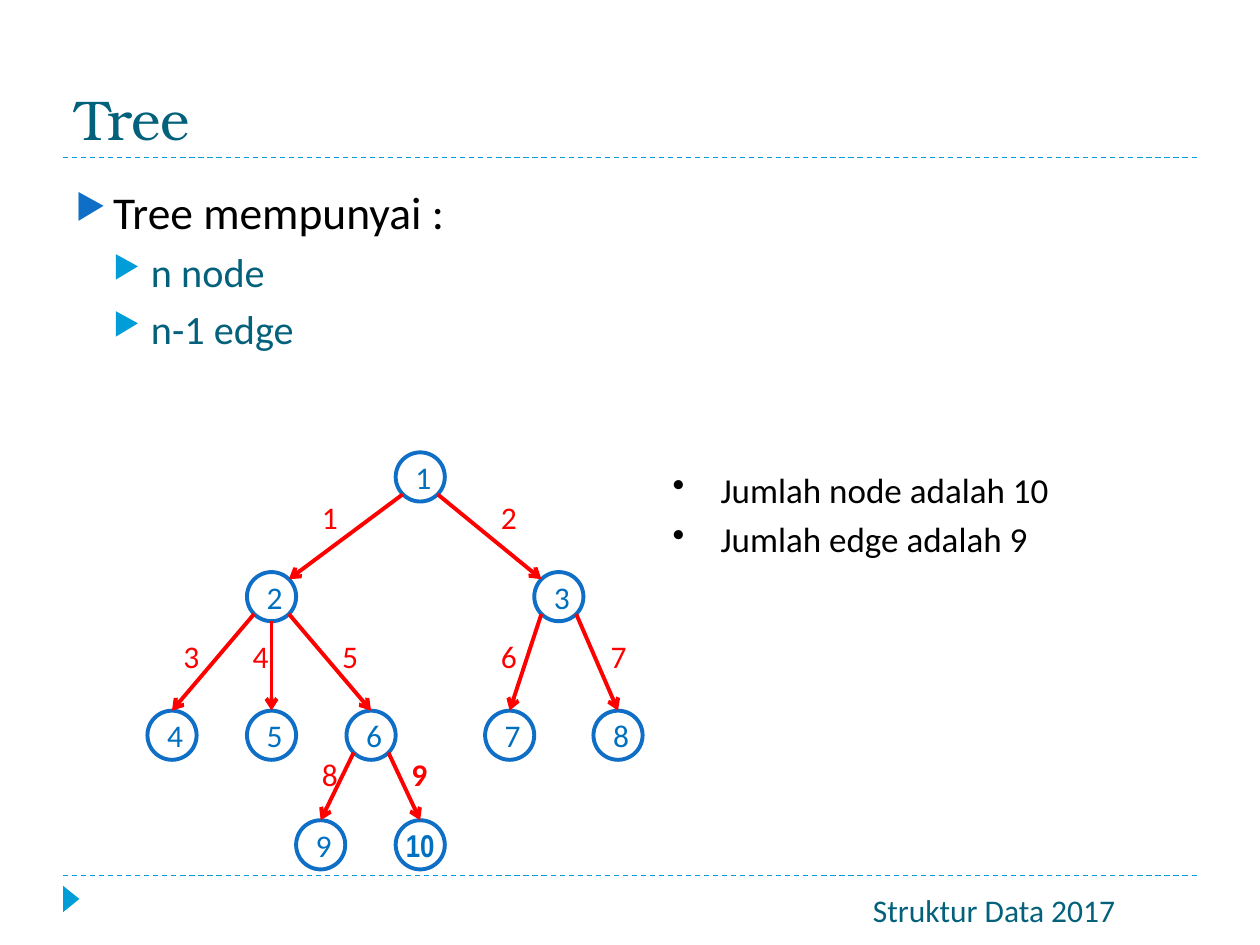
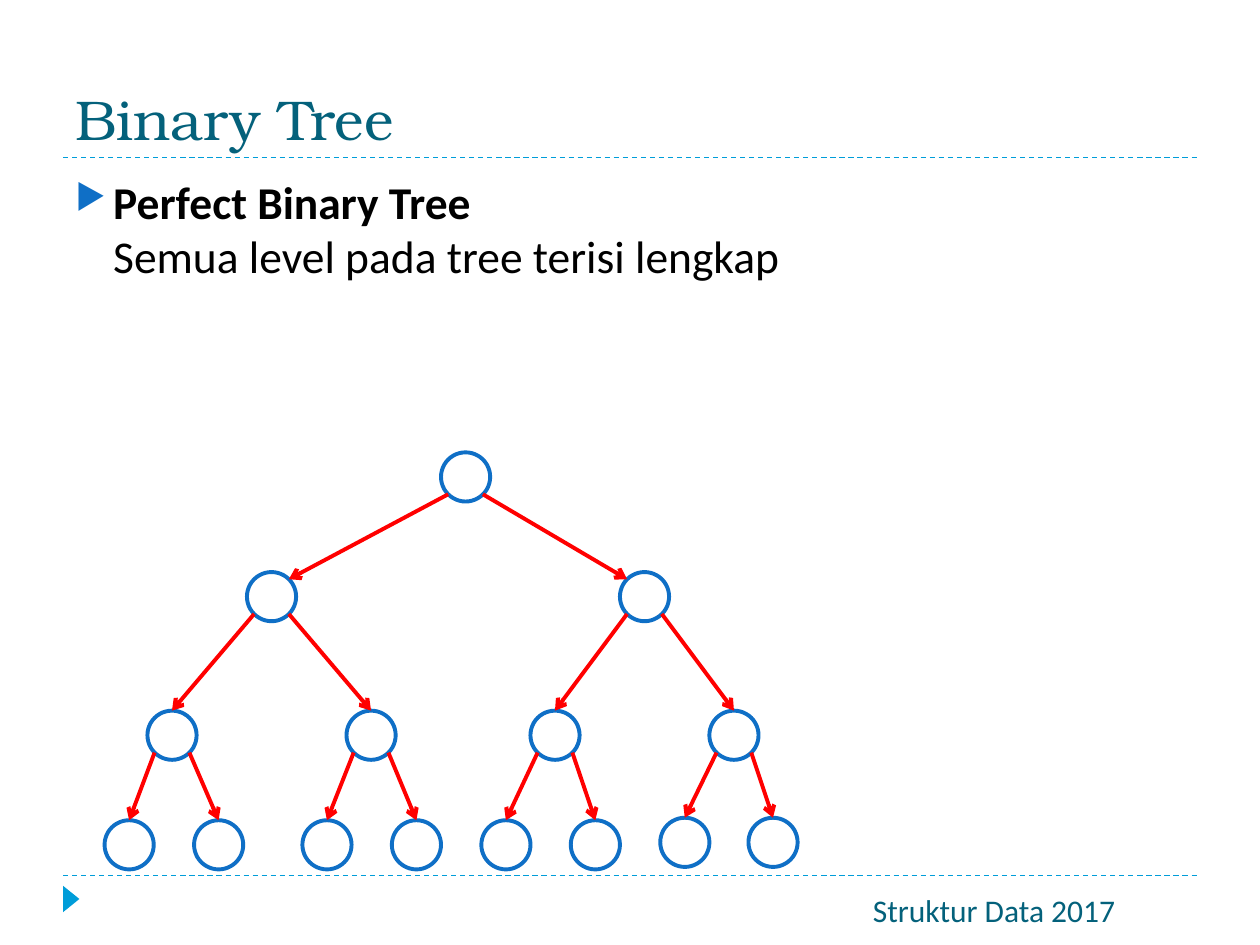
from math import sqrt

from lxml import etree
from pptx import Presentation
from pptx.dml.color import RGBColor
from pptx.enum.dml import MSO_LINE
from pptx.enum.shapes import MSO_CONNECTOR, MSO_SHAPE
from pptx.enum.text import MSO_ANCHOR, PP_ALIGN
from pptx.oxml.ns import qn
from pptx.util import Inches, Pt

STRAIGHT = MSO_CONNECTOR.STRAIGHT
OVAL, TRIANGLE = MSO_SHAPE.OVAL, MSO_SHAPE.ISOSCELES_TRIANGLE
DASH = MSO_LINE.DASH
MIDDLE, BOTTOM, TOP = MSO_ANCHOR.MIDDLE, MSO_ANCHOR.BOTTOM, MSO_ANCHOR.TOP
CENTER = PP_ALIGN.CENTER

COLORS = {
    "teal": "04617B", "cyan": "009DD9", "blue": "0F6FC6", "number": "0070C0",
    "red": "FF0000", "white": "FFFFFF", "black": "000000",
}
TITLE_FONT, BODY_FONT, NARROW_FONT = "TeX Gyre Bonum", "Calibri", "Arial Narrow"

NODE = 0.39
CORNER = NODE / 2 / sqrt(2)
LEVELS = [0, 0.95, 2.05, 2.92]
LABEL_LEVELS = [0, 0.32, 1.42, 2.36]

NUMBERED_TREE = {
    1: (None, 1.97, 0, None),
    2: (1, 0.79, 1, 1.23),
    3: (1, 3.07, 1, 2.65),
    4: (2, 0, 2, 0.13),
    5: (2, 0.79, 2, 0.68),
    6: (2, 1.58, 2, 1.39),
    7: (3, 2.68, 2, 2.65),
    8: (3, 3.54, 2, 3.52),
    9: (6, 1.18, 3, 1.23),
    10: (6, 1.97, 3, 1.94),
}
PERFECT_TREE_LEFTS = [
    [2.67],
    [1.13, 4.09],
    [0.34, 1.92, 3.38, 4.8],
    [0, 0.71, 1.57, 2.28, 2.99, 3.7, 4.41, 5.11],
]


def rgb(name):
    """Return the named colour."""
    return RGBColor.from_string(COLORS[name])


def style(font, size, color, name=BODY_FONT, bold=False):
    """Set the look of a font."""
    font.size, font.name, font.bold = Pt(size), name, bold
    font.color.rgb = rgb(color)


def add_line(slide, start, end, color, width):
    """Draw a straight line without a shadow."""
    line = slide.shapes.add_connector(STRAIGHT, *map(Inches, start + end))
    line.line.color.rgb = rgb(color)
    line.line.width = Pt(width)
    etree.SubElement(line._element.spPr, qn("a:effectLst"))
    return line


def add_arrow(slide, start, end):
    """Draw a red edge that points to a child node."""
    edge = add_line(slide, start, end, "red", 2.25)
    etree.SubElement(edge.line._get_or_add_ln(), qn("a:tailEnd"), type="arrow")


def add_text(slide, box, lines, anchor=TOP):
    """Add a wrapping text box with one paragraph per line."""
    frame = slide.shapes.add_textbox(*map(Inches, box)).text_frame
    frame.word_wrap = True
    frame.vertical_anchor = anchor
    frame.text = "\n".join(lines)
    return frame


def add_bullet(paragraph, char, color, percent, margin, hang):
    """Give a paragraph a coloured bullet and a hanging indent."""
    props = paragraph._p.get_or_add_pPr()
    props.set("marL", str(Inches(margin)))
    props.set("indent", str(Inches(-hang)))
    bullet_color = etree.SubElement(props, qn("a:buClr"))
    etree.SubElement(bullet_color, qn("a:srgbClr"), val=COLORS[color])
    etree.SubElement(props, qn("a:buSzPct"), val=str(percent * 1000))
    etree.SubElement(props, qn("a:buChar"), char=char)


def add_frame(prs, title):
    """Add a slide with its title, dashed rules and footer."""
    slide = prs.slides.add_slide(prs.slide_layouts[6])
    for y in (6.95, 1.25):
        add_line(slide, (0.5, y), (9.5, y), "cyan", 0.75).line.dash_style = DASH
    marker = slide.shapes.add_shape(TRIANGLE, *map(Inches, (0.46, 7.07, 0.21, 0.13)))
    marker.rotation = 90
    marker.shadow.inherit = False
    marker.fill.solid()
    marker.fill.fore_color.rgb = rgb("cyan")
    marker.line.fill.background()
    footer = add_text(slide, (5.86, 7.02, 4.06, 0.4), ["Struktur Data 2017"]).paragraphs[0]
    footer.alignment = CENTER
    style(footer.runs[0].font, 18, "teal")
    heading = add_text(slide, (0.5, 0.17, 9, 1.08), [title], BOTTOM).paragraphs[0]
    style(heading.runs[0].font, 32, "teal", TITLE_FONT)
    return slide


def add_body(slide, box, topic, details=()):
    """Write a main point and its sub-points."""
    frame = add_text(slide, box, [topic, *details])
    main, *subs = frame.paragraphs
    add_bullet(main, "▶", "blue", 76, 0.3, 0.3)
    for run in main.runs:
        style(run.font, 26, "black")
    for sub in subs:
        sub.level = 1
        add_bullet(sub, "▶", "cyan", 76, 0.6, 0.3)
        sub.space_before = Pt(5)
        style(sub.runs[0].font, 23, "teal")
    return main


def add_summary(slide, box, lines):
    """List the counts beside the tree."""
    for index, paragraph in enumerate(add_text(slide, box, lines).paragraphs):
        add_bullet(paragraph, "•", "black", 100, 0.38, 0.38)
        if index:
            paragraph.space_before = Pt(4)
        style(paragraph.runs[0].font, 20, "black")


def add_circle(slide, left, top, text="", color="number", outlined=True, **look):
    """Draw a node, or an edge number when it is not outlined."""
    circle = slide.shapes.add_shape(OVAL, *map(Inches, (left, top, NODE, NODE)))
    circle.shadow.inherit = False
    if outlined:
        circle.fill.solid()
        circle.fill.fore_color.rgb = rgb("white")
        circle.line.color.rgb = rgb("blue")
        circle.line.width = Pt(2.25)
    else:
        circle.fill.background()
        circle.line.fill.background()
    if text:
        frame = circle.text_frame
        frame.vertical_anchor = MIDDLE
        if len(text) > 1:
            frame.margin_left = frame.margin_right = 0
        frame.text = text
        frame.paragraphs[0].alignment = CENTER
        style(frame.paragraphs[0].runs[0].font, 18, color, **look)


def add_edge(slide, parent, child, from_root):
    """Join the lower rim of a parent to the upper rim of its child."""
    (px, py), (cx, cy) = [(x + NODE / 2, y + NODE / 2) for x, y in (parent, child)]
    side = 0 if abs(cx - px) < 0.01 else (1 if cx > px else -1)
    start = (px + side * CORNER, py + (CORNER if side else NODE / 2))
    end = (cx - side * CORNER, cy - CORNER) if from_root else (cx, cy - NODE / 2)
    add_arrow(slide, start, end)


def add_numbered_tree(slide, left, top):
    """Draw the tree with numbered nodes and edges."""
    spots = {}
    for number, (_, x, level, _) in NUMBERED_TREE.items():
        spots[number] = (left + x, top + LEVELS[level])
        look = {"name": NARROW_FONT, "bold": True} if number == 10 else {}
        add_circle(slide, *spots[number], str(number), **look)
    for number, (parent, _, level, label_x) in NUMBERED_TREE.items():
        if parent:
            add_edge(slide, spots[parent], spots[number], parent == 1)
            add_circle(slide, left + label_x, top + LABEL_LEVELS[level], str(number - 1),
                       "red", outlined=False, bold=number == 10)


def add_perfect_tree(slide, left, top):
    """Draw a binary tree with every level full."""
    spots = [(left + x, top + y) for y, row in zip(LEVELS, PERFECT_TREE_LEFTS) for x in row]
    spots[-2:] = [(x, y - 0.02) for x, y in spots[-2:]]
    for spot in spots:
        add_circle(slide, *spot)
    for index, spot in enumerate(spots[1:], 1):
        parent = (index - 1) // 2
        add_edge(slide, spots[parent], spot, parent == 0)


def build_tree_slide(prs):
    """Build the slide on node and edge counts."""
    slide = add_frame(prs, "Tree")
    add_body(slide, (0.5, 1.41, 9, 2.11), "Tree mempunyai :", ["n node", "n-1 edge"])
    add_numbered_tree(slide, 1.17, 3.59)
    add_summary(slide, (5.24, 3.67, 4.25, 3.31),
                ["Jumlah node adalah 10", "Jumlah edge adalah 9"])


def build_binary_tree_slide(prs):
    """Build the slide on the perfect binary tree."""
    slide = add_frame(prs, "Binary Tree")
    definition = add_body(slide, (0.5, 1.33, 9, 5.4),
                          "Perfect Binary Tree\vSemua level pada tree terisi lengkap")
    definition.runs[0].font.bold = True
    add_perfect_tree(slide, 0.83, 3.59)


def main():
    """Build and save the presentation."""
    prs = Presentation()
    prs.slide_width, prs.slide_height = Inches(10), Inches(7.5)
    build_tree_slide(prs)
    build_binary_tree_slide(prs)
    prs.save("out.pptx")


if __name__ == "__main__":
    main()
